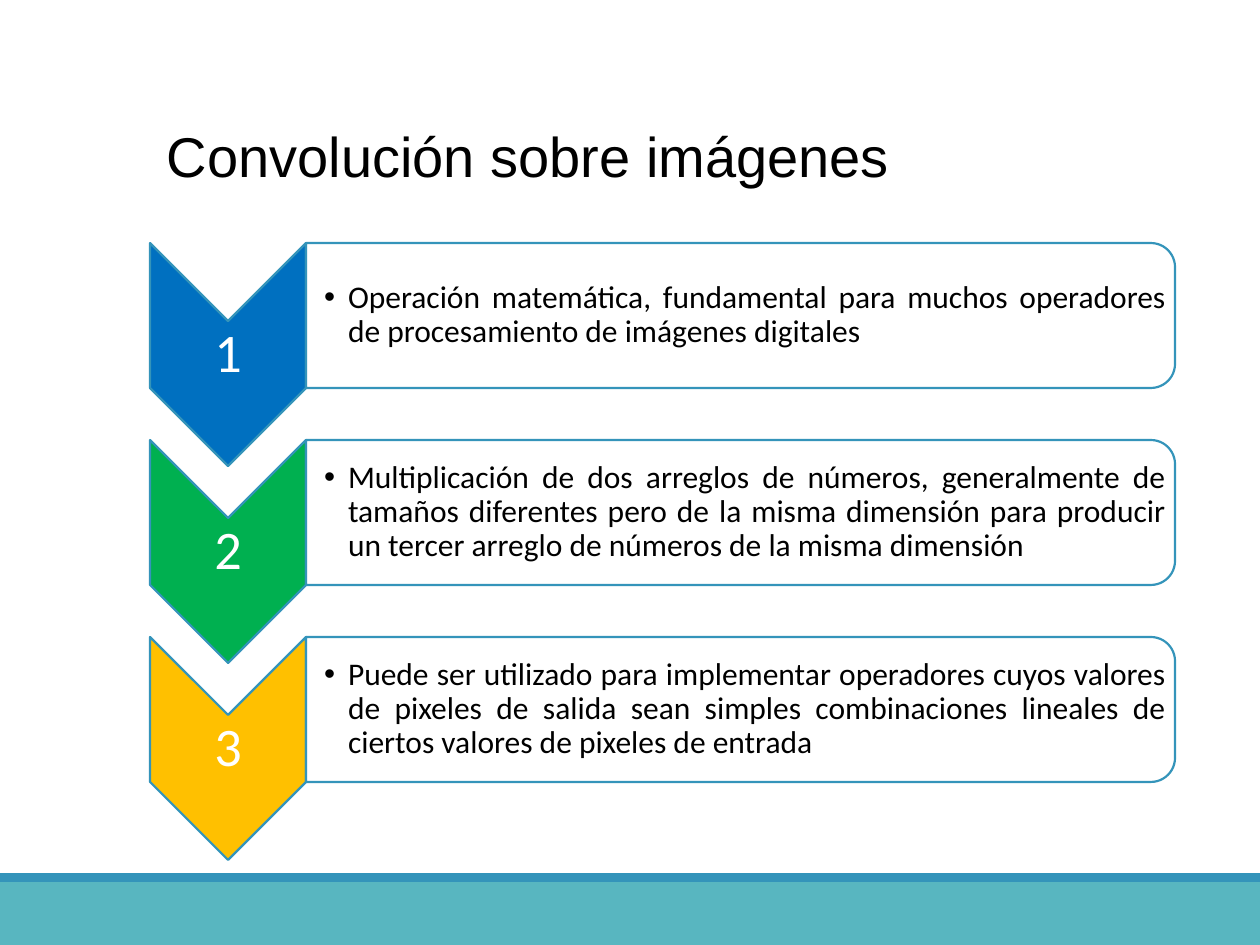
"""Build the slide on image convolution: a title and three numbered chevron steps."""
from lxml.etree import SubElement
from pptx import Presentation
from pptx.dml.color import RGBColor
from pptx.enum.shapes import MSO_SHAPE as Shape
from pptx.enum.text import MSO_ANCHOR as Anchor, MSO_AUTO_SIZE as AutoSize, PP_ALIGN as Align
from pptx.oxml.ns import qn
from pptx.util import Pt

COLORS = {
    "black": "000000", "white": "FFFFFF", "line": "3494BA", "band": "58B6C0",
    "blue": "0070C0", "green": "00B050", "amber": "FFC000",
}
TITLE = "Convolución sobre imágenes"
STEPS = [
    ("1", "blue", "Operación matemática, fundamental para muchos operadores de "
     "procesamiento de imágenes digitales"),
    ("2", "green", "Multiplicación de dos arreglos de números, generalmente de tamaños "
     "diferentes pero de la misma dimensión para producir un tercer arreglo de números "
     "de la misma dimensión"),
    ("3", "amber", "Puede ser utilizado para implementar operadores cuyos valores de "
     "pixeles de salida sean simples combinaciones lineales de ciertos valores de "
     "pixeles de entrada"),
]
BANDS = [("band", 882, 63), ("line", 873, 9)]
SLIDE_WIDTH, SLIDE_HEIGHT = 1260, 945
LEFT, TOP, PITCH = 150, 243, 197
CHEVRON_WIDTH, CHEVRON_HEIGHT = 156, 223
PANEL_WIDTH, PANEL_HEIGHT = 869, 145
NOTCH = CHEVRON_WIDTH // 2


def px(value):
    return round(value * 914400 / 126)


def rgb(name):
    return RGBColor.from_string(COLORS[name])


def write_text(shape, text, size, color="black", font="Calibri", align=Align.JUSTIFY,
               anchor=Anchor.MIDDLE, insets=(2, 2, 2, 2), spacing=0.9, indent=0):
    frame = shape.text_frame
    frame.word_wrap, frame.auto_size, frame.vertical_anchor = True, AutoSize.NONE, anchor
    frame.margin_left, frame.margin_top, frame.margin_right, frame.margin_bottom = map(px, insets)
    paragraph = frame.paragraphs[0]
    paragraph.alignment, paragraph.line_spacing = align, spacing
    run = paragraph.add_run()
    run.text = text
    run.font.size, run.font.name, run.font.color.rgb = Pt(size), font, rgb(color)
    if indent:
        properties = paragraph._p.get_or_add_pPr()
        properties.set("marL", str(px(indent)))
        properties.set("indent", str(-px(indent)))
        SubElement(properties, qn("a:buFont"), typeface="Arial")
        SubElement(properties, qn("a:buChar"), char="•")


def add_shape(slide, kind, left, top, width, height, fill, line=None, turned=False):
    if turned:
        left, top = left + (width - height) / 2, top + (height - width) / 2
        width, height = height, width
    shape = slide.shapes.add_shape(kind, *map(px, (left, top, width, height)))
    shape.rotation = 90 if turned else 0
    shape.shadow.inherit = False
    shape.fill.solid()
    shape.fill.fore_color.rgb = rgb(fill)
    if line:
        shape.line.color.rgb, shape.line.width = rgb(line), Pt(1.25)
    else:
        shape.line.fill.background()
    return shape


def add_step(slide, top, number, color, text):
    panel_left = LEFT + CHEVRON_WIDTH
    add_shape(slide, Shape.CHEVRON, LEFT, top, CHEVRON_WIDTH, CHEVRON_HEIGHT,
              color, "line", turned=True)
    label = slide.shapes.add_textbox(*map(px, (LEFT, top + NOTCH, CHEVRON_WIDTH,
                                               PANEL_HEIGHT - NOTCH)))
    write_text(label, number, 31, color="white", align=Align.CENTER)
    panel = add_shape(slide, Shape.ROUND_2_SAME_RECTANGLE, panel_left, top, PANEL_WIDTH,
                      PANEL_HEIGHT, "white", "line", turned=True)
    solid = panel.fill.fore_color._xFill
    SubElement(solid.find(qn("a:srgbClr")), qn("a:alpha"), val="90000")
    body = slide.shapes.add_textbox(*map(px, (panel_left, top + 7, PANEL_WIDTH - 8,
                                              PANEL_HEIGHT - 14)))
    write_text(body, text, 18, insets=(18, 1, 1, 1), indent=24)


def main():
    presentation = Presentation()
    presentation.slide_width, presentation.slide_height = px(SLIDE_WIDTH), px(SLIDE_HEIGHT)
    slide = presentation.slides.add_slide(presentation.slide_layouts[5])
    for color, top, height in BANDS:
        add_shape(slide, Shape.RECTANGLE, 0, top, SLIDE_WIDTH, height, color)
    title = slide.shapes.title
    title.left, title.top, title.width, title.height = map(px, (154, 116, 833, 81))
    write_text(title, TITLE, 32, font="Arial", anchor=Anchor.TOP,
               insets=(13, 6, 13, 6), spacing=1)
    for index, step in enumerate(STEPS):
        add_step(slide, TOP + index * PITCH, *step)
    presentation.save("out.pptx")


if __name__ == "__main__":
    main()
